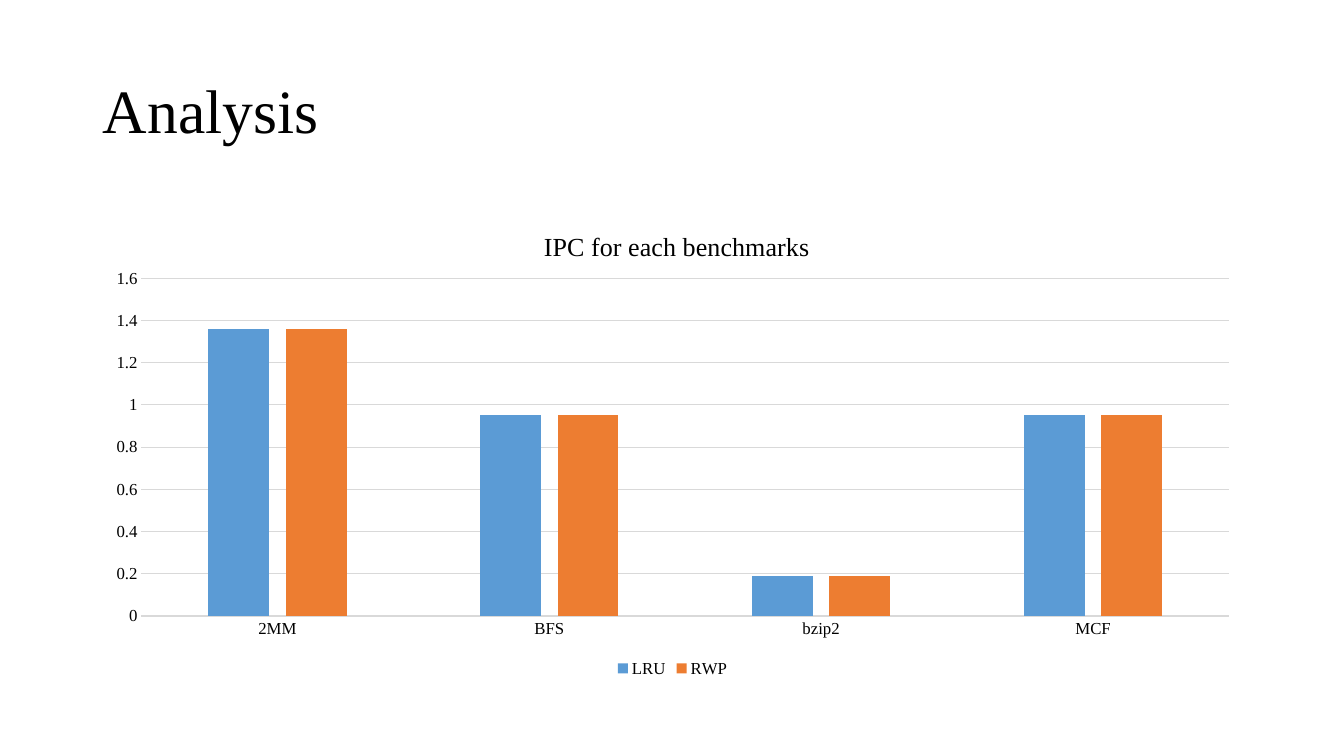
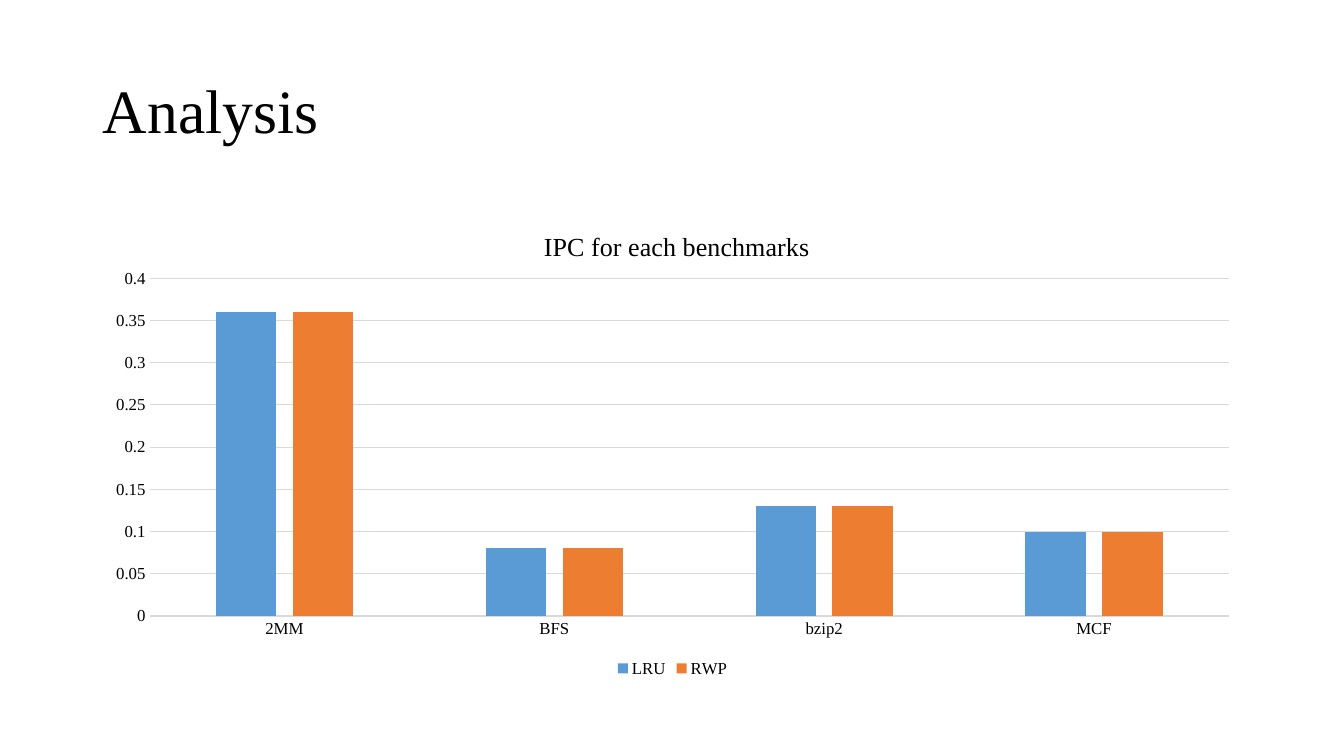
from lxml.etree import SubElement as Sub
from pptx import Presentation
from pptx.chart.data import CategoryChartData as Data
from pptx.dml.color import RGBColor as RGB
from pptx.enum.chart import XL_CHART_TYPE as Kind, XL_LEGEND_POSITION as Place, XL_TICK_MARK as Tick
from pptx.enum.text import MSO_ANCHOR as Anchor, PP_ALIGN as Align
from pptx.oxml.ns import qn
from pptx.util import Inches, Pt

HUES = {"ink": "000000", "page": "FFFFFF", "grid": "D9D9D9", "LRU": "5B9BD5", "RWP": "ED7D31"}
FACE = "Times New Roman"
CATS = ["2MM", "BFS", "bzip2", "MCF"]


def put(item, **vals):
    for key, val in vals.items():
        setattr(item, key, val)


class Deck:
    """Holds the shared style and the current slide."""

    def __init__(self):
        self.prs = Presentation()
        put(self.prs, slide_width=Inches(13.33), slide_height=Inches(7.5))
        self.slide = None

    def hue(self, name):
        return RGB.from_string(HUES[name])

    def font(self, font, size):
        put(font, name=FACE, size=Pt(size), bold=False)
        font.color.rgb = self.hue("ink")

    def line(self, line):
        line.color.rgb = self.hue("grid")
        line.width = Pt(0.75)

    def page(self, title):
        self.slide = self.prs.slides.add_slide(self.prs.slide_layouts[5])
        fill = self.slide.background.fill
        fill.solid()
        fill.fore_color.rgb = self.hue("page")
        box = self.slide.shapes.title
        put(box, left=Inches(0.92), top=Inches(0.4), width=Inches(11.5), height=Inches(1.45))
        put(box.text_frame, text=title, vertical_anchor=Anchor.MIDDLE, word_wrap=True)
        para = box.text_frame.paragraphs[0]
        put(para, alignment=Align.LEFT, line_spacing=0.9)
        self.font(para.runs[0].font, 44)

    def fix(self, node, **parts):
        """Places a chart part by percentages of the chart."""
        lay = node.find(qn("c:layout"))
        if lay is None:
            lay = Sub(node, qn("c:layout"))
            spot = node.find(qn("c:tx"))
            if spot is None:
                node.insert(0, lay)
            else:
                spot.addnext(lay)
        man = Sub(lay, qn("c:manualLayout"))
        if "w" in parts:
            Sub(man, qn("c:layoutTarget")).set("val", "inner")
        for key in ("x", "y"):
            Sub(man, qn(f"c:{key}Mode")).set("val", "edge")
        for key, val in parts.items():
            Sub(man, qn(f"c:{key}")).set("val", str(val / 100))

    def bars(self, title, rows, top, step, form, left):
        data = Data()
        data.categories = CATS
        for name, vals in rows.items():
            data.add_series(name, vals)
        area = [Inches(n) for n in (0.92, 2, 11.5, 4.76)]
        chart = self.slide.shapes.add_chart(Kind.COLUMN_CLUSTERED, *area, data).chart
        self.font(chart.font, 10)
        self.head(chart, title)
        self.axes(chart, top, step, form)
        put(chart, has_legend=True)
        put(chart.legend, position=Place.BOTTOM, include_in_layout=False)
        self.font(chart.legend.font, 12)
        plot = chart.plots[0]
        put(plot, gap_width=219, overlap=-27, vary_by_categories=False)
        for row in plot.series:
            row.format.fill.solid()
            row.format.fill.fore_color.rgb = self.hue(row.name)
        area = chart.element.find(".//" + qn("c:plotArea"))
        self.fix(area, x=left, y=16, w=98 - left, h=70.4)

    def head(self, chart, title):
        chart.has_title = True
        frame = chart.chart_title.text_frame
        frame.text = title
        self.font(frame.paragraphs[0].runs[0].font, 18.6)
        self.fix(chart.element.find(".//" + qn("c:title")), x=38.5, y=4.9)

    def axes(self, chart, top, step, form):
        cat, val = chart.category_axis, chart.value_axis
        for axis in (cat, val):
            put(axis, major_tick_mark=Tick.NONE, minor_tick_mark=Tick.NONE)
            self.font(axis.tick_labels.font, 12)
        self.line(cat.format.line)
        put(val, minimum_scale=0, maximum_scale=top, major_unit=step, has_major_gridlines=True)
        put(val.tick_labels, number_format=form, number_format_is_linked=False)
        val.format.line.fill.background()
        self.line(val.major_gridlines.format.line)


deck = Deck()
for vals, top, step, left in [
    ([1.36, 0.95, 0.19, 0.95], 1.6, 0.2, 4.2),
    ([0.36, 0.08, 0.13, 0.1], 0.4, 0.05, 4.9),
]:
    deck.page("Analysis")
    rows = {name: vals for name in ("LRU", "RWP")}
    deck.bars("IPC for each benchmarks", rows, top, step, "General", left)
deck.prs.save("out.pptx")
